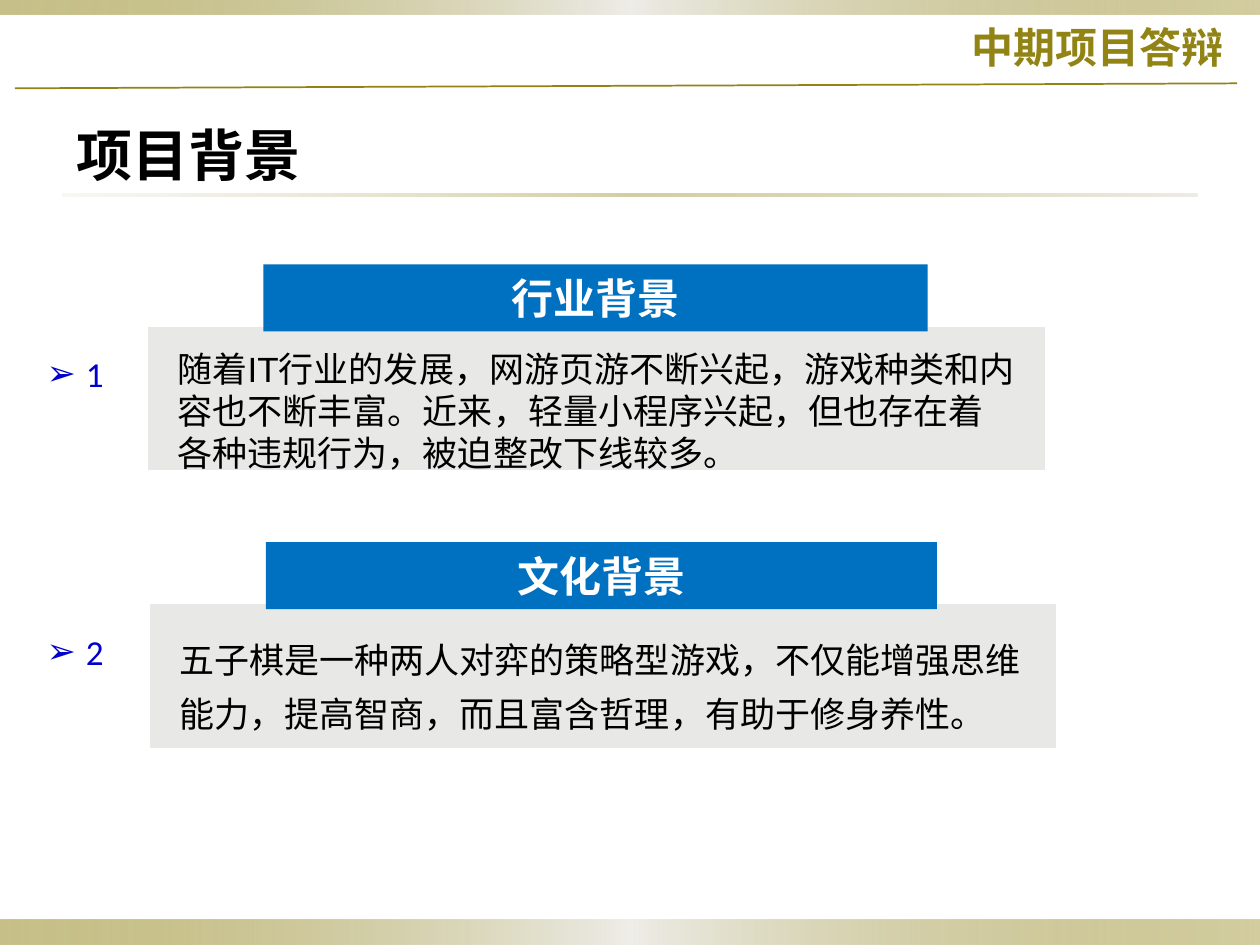
from dataclasses import dataclass

from lxml import etree
from pptx import Presentation
from pptx.dml.color import RGBColor
from pptx.enum.shapes import MSO_CONNECTOR, MSO_SHAPE
from pptx.enum.text import MSO_ANCHOR, PP_ALIGN
from pptx.oxml.ns import qn
from pptx.util import Cm, Pt

RECTANGLE = MSO_SHAPE.RECTANGLE
STRAIGHT = MSO_CONNECTOR.STRAIGHT
MIDDLE = MSO_ANCHOR.MIDDLE
TOP = MSO_ANCHOR.TOP
LEFT, CENTER, RIGHT = PP_ALIGN.LEFT, PP_ALIGN.CENTER, PP_ALIGN.RIGHT


@dataclass(frozen=True)
class Theme:
    gold: str = "918415"
    pale: str = "EEEDE8"
    sand: str = "DCD9CC"
    panel: str = "E8E8E6"
    blue: str = "0070C0"
    number: str = "0000CC"
    white: str = "FFFFFF"
    black: str = "000000"
    title_size: int = 32
    heading_size: int = 24
    body_size: int = 20
    title_font: str = "Cabin"
    heading_font: str = "Noto Sans CJK SC"
    body_font: str = "Arial"
    number_font: str = "Calibri"
    east_asian_font: str = "Calibri"


THEME = Theme()
BAND_STOPS = ((0, THEME.gold, 50), (50, THEME.pale, 100), (100, THEME.gold, 40))
RULE_STOPS = ((0, THEME.sand, 20), (50, THEME.gold, 40), (100, THEME.sand, 50))


def color(value):
    return RGBColor.from_string(value)


def add_rectangle(slide, left, top, width, height, fill=None, line=None):
    shape = slide.shapes.add_shape(RECTANGLE, Cm(left), Cm(top), Cm(width), Cm(height))
    shape.shadow.inherit = False
    if fill:
        shape.fill.solid()
        shape.fill.fore_color.rgb = color(fill)
    if line:
        shape.line.color.rgb = color(line)
        shape.line.width = Pt(2)
    else:
        shape.line.fill.background()
    return shape


def add_gradient_bar(slide, left, top, width, height, stops):
    shape = add_rectangle(slide, left, top, width, height)
    gradient = etree.Element(qn("a:gradFill"), rotWithShape="1")
    stop_list = etree.SubElement(gradient, qn("a:gsLst"))
    for position, value, opacity in stops:
        stop = etree.SubElement(stop_list, qn("a:gs"), pos=str(position * 1000))
        stop_color = etree.SubElement(stop, qn("a:srgbClr"), val=value)
        if opacity < 100:
            etree.SubElement(stop_color, qn("a:alpha"), val=str(opacity * 1000))
    etree.SubElement(gradient, qn("a:lin"), ang="0", scaled="1")
    shape._element.spPr.find(qn("a:prstGeom")).addnext(gradient)


def add_line(slide, start_x, start_y, end_x, end_y):
    line = slide.shapes.add_connector(
        STRAIGHT, Cm(start_x), Cm(start_y), Cm(end_x), Cm(end_y)
    )
    line.line.color.rgb = color(THEME.gold)
    line.line.width = Pt(1)
    etree.SubElement(line._element.spPr, qn("a:effectLst"))


def add_bullet(paragraph, character, indent):
    properties = paragraph._p.get_or_add_pPr()
    properties.set("marL", str(Cm(indent)))
    properties.set("indent", str(-Cm(indent)))
    etree.SubElement(properties, qn("a:buFont"), typeface=THEME.number_font)
    etree.SubElement(properties, qn("a:buChar"), char=character)


def write_text(shape, text, size, font, value, bold=False, align=LEFT,
               anchor=TOP, margins=(0.25, 0.13), wrap=True, spacing=None):
    frame = shape.text_frame
    frame.word_wrap = wrap
    frame.vertical_anchor = anchor
    frame.margin_left = frame.margin_right = Cm(margins[0])
    frame.margin_top = frame.margin_bottom = Cm(margins[1])
    paragraph = frame.paragraphs[0]
    paragraph.alignment = align
    if spacing:
        paragraph.line_spacing = spacing
    run = paragraph.add_run()
    run.text = text
    run.font.size = Pt(size)
    run.font.bold = bold
    run.font.color.rgb = color(value)
    run.font.name = font
    latin = run._r.rPr.find(qn("a:latin"))
    latin.addnext(etree.Element(qn("a:ea"), typeface=THEME.east_asian_font))
    return paragraph


def add_text(slide, left, top, width, height, *text, **options):
    box = slide.shapes.add_textbox(Cm(left), Cm(top), Cm(width), Cm(height))
    return write_text(box, *text, **options)


def add_topic(slide, top, scale, number, heading, body, body_height, spacing):
    add_rectangle(slide, 2.95 * scale, top + 1.22, 18.16 * scale, 2.97,
                  THEME.panel, THEME.white)
    bar = add_rectangle(slide, 5.31 * scale, top, 13.39 * scale, 1.35, THEME.blue)
    write_text(bar, heading, THEME.heading_size, THEME.heading_font, THEME.white,
               bold=True, align=CENTER, anchor=MIDDLE, margins=(0.18, 0.1))
    add_text(slide, 3.4 * scale, top + 1.58, 17.27 * scale, body_height,
             body, THEME.body_size, THEME.body_font, THEME.black,
             margins=(0.18, 0.1), spacing=spacing)
    paragraph = add_text(slide, 0.69, top + 1.65, 1.65, 1.09, number,
                         THEME.body_size, THEME.number_font, THEME.number, wrap=False)
    add_bullet(paragraph, "➢", 0.79)


def main():
    presentation = Presentation()
    presentation.slide_width = Cm(25.4)
    presentation.slide_height = Cm(19.05)
    slide = presentation.slides.add_slide(presentation.slide_layouts[6])

    add_gradient_bar(slide, 0, 18.54, 25.4, 0.51, BAND_STOPS)
    add_gradient_bar(slide, 0, 0, 25.4, 0.3, BAND_STOPS)
    add_gradient_bar(slide, 1.27, 3.91, 22.86, 0.05, RULE_STOPS)
    add_text(slide, 1.3, 2.31, 22.86, 1.6, "项目背景", THEME.title_size,
             THEME.title_font, THEME.black, bold=True)
    add_line(slide, 0.3, 1.78, 24.94, 1.68)
    add_text(slide, 13.26, 0.3, 11.66, 1.27, "中期项目答辩", THEME.heading_size,
             THEME.heading_font, THEME.gold, bold=True, align=RIGHT)

    topics = (
        ("行业背景", "随着IT行业的发展，网游页游不断兴起，游戏种类和内容也不断丰富。"
         "近来，轻量小程序兴起，但也存在着各种违规行为，被迫整改下线较多。", 1, 2.74, None),
        ("文化背景", "五子棋是一种两人对弈的策略型游戏，不仅能增强思维能力，"
         "提高智商，而且富含哲理，有助于修身养性。", 1.01, 2.39, 1.3),
    )
    for index, (heading, body, scale, body_height, spacing) in enumerate(topics):
        add_topic(slide, 5.33 + 5.6 * index, scale, str(index + 1),
                  heading, body, body_height, spacing)

    presentation.save("out.pptx")


if __name__ == "__main__":
    main()
